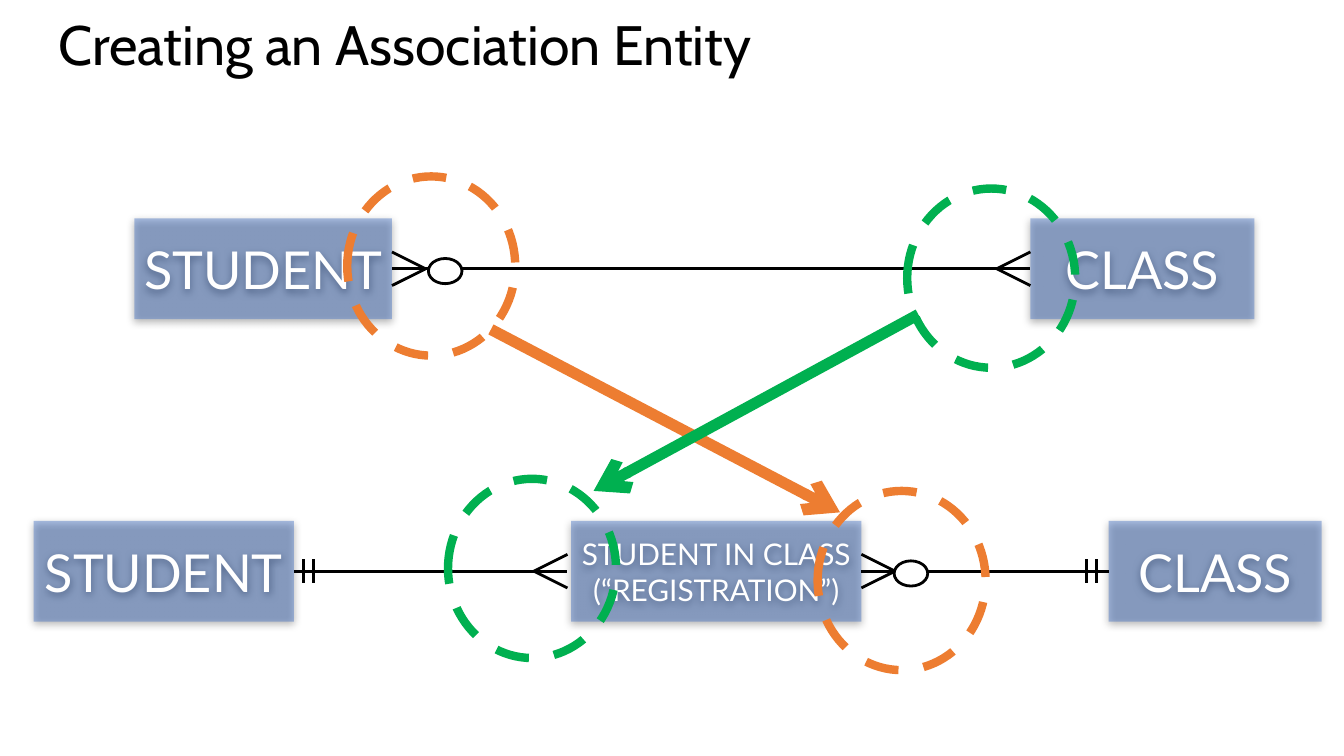
from collections import namedtuple
from dataclasses import dataclass

from lxml.etree import SubElement
from pptx import Presentation
from pptx.dml.color import RGBColor
from pptx.enum.dml import MSO_LINE
from pptx.enum.shapes import MSO_CONNECTOR, MSO_SHAPE
from pptx.enum.text import MSO_ANCHOR, MSO_AUTO_SIZE, PP_ALIGN
from pptx.oxml.ns import qn
from pptx.util import Pt

Box = namedtuple("Box", "left top width height")
LEFT_SIDE, RIGHT_SIDE = 1, 3


@dataclass(frozen=True)
class Theme:
    """Colours, fonts, type sizes and line widths of the slide."""
    ink: RGBColor = RGBColor(0, 0, 0)
    paper: RGBColor = RGBColor(255, 255, 255)
    entity: RGBColor = RGBColor(0x44, 0x72, 0xC4)
    orange: RGBColor = RGBColor(0xED, 0x7D, 0x31)
    green: RGBColor = RGBColor(0x00, 0xB0, 0x50)
    title_font: str = "Cabin"
    body_font: str = "Lato"
    title_size: float = 29.7
    entity_size: float = 28
    small_size: float = 16
    thin: float = 1.5
    ring: float = 4.5
    arrow: float = 6


THEME = Theme()


def apply_format(target, values):
    """Set each attribute of the target from a dict."""
    for name, value in values.items():
        setattr(target, name, value)


def set_line(line, color, width):
    """Give a line its colour and width."""
    line.color.rgb = color
    line.width = Pt(width)


def add_line(slide, start, end, color=THEME.ink, width=THEME.thin):
    """Add a straight connector without shadow."""
    points = [Pt(value) for value in (*start, *end)]
    connector = slide.shapes.add_connector(MSO_CONNECTOR.STRAIGHT, *points)
    set_line(connector.line, color, width)
    SubElement(connector._element.spPr, qn("a:effectLst"))
    return connector


def add_shape(slide, kind, box):
    """Add a preset shape without inherited shadow."""
    shape = slide.shapes.add_shape(kind, *map(Pt, box))
    shape.shadow.inherit = False
    return shape


def add_entity(slide, box, lines, size=THEME.entity_size):
    """Add a translucent entity box with a soft shadow and centred text."""
    shape = add_shape(slide, MSO_SHAPE.RECTANGLE, box)
    shape.fill.solid()
    shape.fill.fore_color.rgb = THEME.entity
    shape.line.fill.background()
    properties = shape._element.spPr
    fill_color = properties.find(qn("a:solidFill")).find(qn("a:srgbClr"))
    SubElement(fill_color, qn("a:alpha"), val="44000")
    shadow = SubElement(properties.find(qn("a:effectLst")), qn("a:outerShdw"),
                        blurRad=str(Pt(4.5)), dist=str(Pt(1.5)),
                        dir="5400000", algn="ctr", rotWithShape="0")
    shadow_color = SubElement(shadow, qn("a:srgbClr"), val=str(THEME.ink))
    SubElement(shadow_color, qn("a:alpha"), val="63000")
    frame = shape.text_frame
    apply_format(frame, {"word_wrap": False, "vertical_anchor": MSO_ANCHOR.MIDDLE})
    for index, text in enumerate(lines):
        paragraph = frame.add_paragraph() if index else frame.paragraphs[0]
        paragraph.alignment = PP_ALIGN.CENTER
        run = paragraph.add_run()
        run.text = text
        apply_format(run.font, {"name": THEME.body_font, "size": Pt(size)})
        run.font.color.rgb = THEME.paper
    return shape


def add_crow_foot(slide, edge, middle, direction):
    """Add the two toes of a many mark that opens towards an edge."""
    for offset in (-9, 9):
        add_line(slide, (edge + direction * 18, middle), (edge, middle + offset))


def add_one_mark(slide, middle, positions):
    """Add the two short bars of a one-and-only-one mark."""
    for x in positions:
        add_line(slide, (x, middle - 6.5), (x, middle + 6.5))


def add_optional_mark(slide, left, middle):
    """Add the small circle of an optional mark."""
    shape = add_shape(slide, MSO_SHAPE.OVAL, (left, middle - 5.5, 18, 13.5))
    shape.fill.solid()
    shape.fill.fore_color.rgb = THEME.paper
    set_line(shape.line, THEME.ink, THEME.thin)


def join(slide, first, second):
    """Join the facing sides of two entities with a line."""
    connector = add_line(slide, (0, 0), (0, 0))
    connector.begin_connect(first, RIGHT_SIDE)
    connector.end_connect(second, LEFT_SIDE)


def draw_title(slide, box):
    """Place and format the title."""
    title = slide.shapes.title
    apply_format(title, dict(zip(Box._fields, map(Pt, box))))
    frame = title.text_frame
    frame.text = "Creating an Association Entity"
    apply_format(frame, {"auto_size": MSO_AUTO_SIZE.NONE, "word_wrap": True,
                         "vertical_anchor": MSO_ANCHOR.MIDDLE})
    paragraph = frame.paragraphs[0]
    apply_format(paragraph, {"alignment": PP_ALIGN.LEFT, "line_spacing": 0.9})
    font = paragraph.runs[0].font
    apply_format(font, {"name": THEME.title_font, "size": Pt(THEME.title_size)})
    font.color.rgb = THEME.ink


def draw_many_to_many(slide, box):
    """Draw the direct relation between student and class."""
    middle = box.top + box.height / 2
    student_edge = box.left + 138
    class_edge = box.left + box.width - 120
    student = add_entity(slide, box._replace(width=138), ["STUDENT"])
    school_class = add_entity(slide, box._replace(left=class_edge, width=120), ["CLASS"])
    join(slide, student, school_class)
    add_crow_foot(slide, student_edge, middle, 1)
    add_crow_foot(slide, class_edge, middle, -1)
    add_optional_mark(slide, student_edge + 19.5, middle)


def draw_association(slide, box):
    """Draw student and class related through the registration entity."""
    middle = box.top + box.height / 2
    student_edge = box.left + 139.5
    registration_left = box.left + 288
    registration_edge = registration_left + 155.5
    class_edge = box.left + box.width - 114
    foot_edge = registration_left - 2
    student = add_entity(slide, box._replace(width=139.5), ["STUDENT"])
    registration = add_entity(
        slide, box._replace(left=registration_left, width=155.5),
        ["STUDENT IN CLASS", "(“REGISTRATION”)"], THEME.small_size)
    school_class = add_entity(slide, box._replace(left=class_edge, width=114), ["CLASS"])
    relation = add_line(slide, (student_edge, middle), (foot_edge, middle))
    relation.begin_connect(student, RIGHT_SIDE)
    join(slide, registration, school_class)
    add_crow_foot(slide, foot_edge, middle, -1)
    add_crow_foot(slide, registration_edge, middle, 1)
    add_one_mark(slide, middle, (student_edge + 5, student_edge + 10.5))
    add_one_mark(slide, middle, (class_edge - 12, class_edge - 6.5))
    add_optional_mark(slide, registration_edge + 17.5, middle)


def draw_transfers(slide, box):
    """Ring the marks that move and point from old to new place."""
    right, bottom = box.width - 90, box.height - 96
    transfers = [
        (THEME.orange, [(0, 0), (right - 48, bottom)], [(77, 82), (264, 180)]),
        (THEME.green, [(right, 6.5), (54, bottom - 6.5)], [(306, 74), (132, 168.5)]),
    ]
    for color, rings, ends in transfers:
        for x, y in rings:
            ring = add_shape(slide, MSO_SHAPE.OVAL, (box.left + x, box.top + y, 90, 96))
            ring.fill.background()
            set_line(ring.line, color, THEME.ring)
            ring.line.dash_style = MSO_LINE.DASH
        start, end = [(box.left + x, box.top + y) for x, y in ends]
        arrow = add_line(slide, start, end, color, THEME.arrow)
        SubElement(arrow.line._get_or_add_ln(), qn("a:tailEnd"), type="arrow")


def main():
    """Build and save the presentation."""
    presentation = Presentation()
    apply_format(presentation, {"slide_width": Pt(720), "slide_height": Pt(405)})
    slide = presentation.slides.add_slide(presentation.slide_layouts[5])
    draw_title(slide, Box(24, 6.5, 690, 38))
    draw_many_to_many(slide, Box(72, 117, 600, 54))
    draw_association(slide, Box(18, 279, 690, 54))
    draw_transfers(slide, Box(186, 94.5, 390 - 0, 264.5)._replace(width=390))
    presentation.save("out.pptx")


if __name__ == "__main__":
    main()
